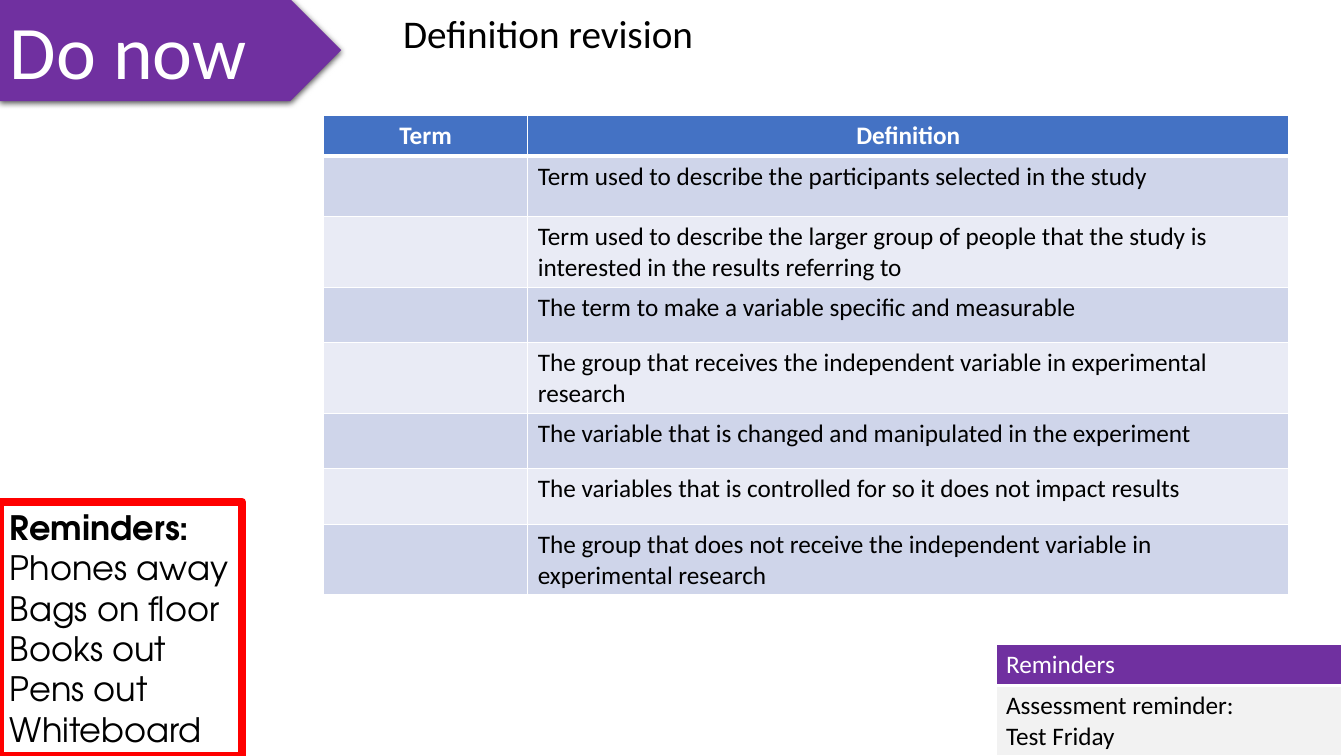
from lxml.etree import SubElement
from pptx import Presentation
from pptx.dml.color import RGBColor
from pptx.enum.shapes import MSO_SHAPE as Preset
from pptx.enum.text import MSO_ANCHOR as Anchor, PP_ALIGN as Align
from pptx.oxml import parse_xml
from pptx.oxml.ns import nsdecls, qn
from pptx.util import Cm, Pt

PURPLE, WHITE, BLACK = "7030A0", "FFFFFF", "000000"
BANDS = ("CFD5EA", "E9EBF5")

DEFINITIONS = [
    "Term used to describe the participants selected in the study",
    "Term used to describe the larger group of people that the study is "
    "interested in the results referring to",
    "The term to make a variable specific and measurable",
    "The group that receives the independent variable in experimental research",
    "The variable that is changed and manipulated in the experiment",
    "The variables that is controlled for so it does not impact results",
    "The group that does not receive the independent variable in experimental research",
]
CLASS_RULES = ["Reminders:", "Phones away", "Bags on floor", "Books out",
               "Pens out", "Whiteboard"]


def color(code):
    return RGBColor.from_string(code)


def write(frame, text, size=18, code=BLACK, font="Calibri", bold=False,
          align=Align.LEFT):
    """Fill a text frame, one paragraph for each line of text."""
    frame.word_wrap = True
    for index, line in enumerate(text.split("\n")):
        para = frame.paragraphs[0] if index == 0 else frame.add_paragraph()
        para.alignment = align
        span = para.add_run()
        span.text = line
        span.font.name, span.font.size = font, Pt(size)
        span.font.bold, span.font.color.rgb = bold, color(code)


def style_cell(cell, fill, bottom=1):
    """Give a cell white borders and a solid fill."""
    props = cell._tc.get_or_add_tcPr()
    for side, width in (("L", 1), ("R", 1), ("T", 1), ("B", bottom)):
        line = SubElement(props, qn(f"a:ln{side}"), w=str(Pt(width)))
        solid = SubElement(line, qn("a:solidFill"))
        SubElement(solid, qn("a:srgbClr"), val=WHITE)
    cell.fill.solid()
    cell.fill.fore_color.rgb = color(fill)


def add_grid(page, left, top, widths, heights):
    table = page.shapes.add_table(
        len(heights), len(widths), Cm(left), Cm(top),
        Cm(sum(widths)), Cm(sum(heights))).table
    for column, width in zip(table.columns, widths):
        column.width = Cm(width)
    for row, height in zip(table.rows, heights):
        row.height = Cm(height)
    return table


def add_banner(page, left, top, width, height):
    banner = page.shapes.add_shape(
        Preset.PENTAGON, Cm(left), Cm(top), Cm(width), Cm(height))
    banner.fill.solid()
    banner.fill.fore_color.rgb = color(PURPLE)
    banner.line.fill.background()
    # Soft shadow straight below
    banner._element.spPr.append(parse_xml(
        f'<a:effectLst {nsdecls("a")}>'
        f'<a:outerShdw blurRad="{Pt(4.5)}" dist="{Pt(1.5)}" dir="5400000" rotWithShape="0">'
        f'<a:srgbClr val="{BLACK}"><a:alpha val="63000"/></a:srgbClr>'
        '</a:outerShdw></a:effectLst>'))
    banner.text_frame.vertical_anchor = Anchor.TOP
    write(banner.text_frame, "Do now", size=54, code=WHITE)


def add_title(page, left, top, width, height):
    box = page.shapes.add_textbox(Cm(left), Cm(top), Cm(width), Cm(height))
    write(box.text_frame, "Definition revision", size=28)


def add_notice(page, left, top, width):
    table = add_grid(page, left, top, [width], [1.04, 1.02])
    head, body = table.cell(0, 0), table.cell(1, 0)
    style_cell(head, PURPLE, bottom=3)
    write(head.text_frame, "Reminders", code=WHITE)
    style_cell(body, "F2F2F2")
    write(body.text_frame, "Assessment reminder:\nTest Friday")


def add_class_rules(page, left, top, width, height):
    box = page.shapes.add_textbox(Cm(left), Cm(top), Cm(width), Cm(height))
    box.line.color.rgb = color("FF0000")
    box.line.width = Pt(6)
    write(box.text_frame, "\n".join(CLASS_RULES), size=24, font="TeX Gyre Adventor")
    box.text_frame.paragraphs[0].runs[0].font.bold = True


def add_definitions(page, left, top, width):
    term_width = 5.15
    table = add_grid(page, left, top, [term_width, width - term_width],
                     [0.97, 1.52] + [1.4] * (len(DEFINITIONS) - 1))
    # Header row
    for column, heading in enumerate(("Term", "Definition")):
        cell = table.cell(0, column)
        style_cell(cell, "4472C4", bottom=3)
        write(cell.text_frame, heading, code=WHITE, bold=True, align=Align.CENTER)
    # Banded rows with the term left blank for students
    for index, definition in enumerate(DEFINITIONS):
        for column in range(2):
            style_cell(table.cell(index + 1, column), BANDS[index % 2])
        write(table.cell(index + 1, 1).text_frame, definition)


def main():
    deck = Presentation()
    deck.slide_width, deck.slide_height = Cm(33.87), Cm(19.05)
    page = deck.slides.add_slide(deck.slide_layouts[6])
    add_banner(page, 0, -0.02, 8.6, 2.57)
    add_title(page, 9.91, 0.1, 14.05, 1.45)
    add_notice(page, 25.1, 16.23, 8.7)
    add_class_rules(page, 0, 12.65, 6.1, 6.4)
    add_definitions(page, 8.15, 2.92, 24.33)
    deck.save("out.pptx")


if __name__ == "__main__":
    main()
